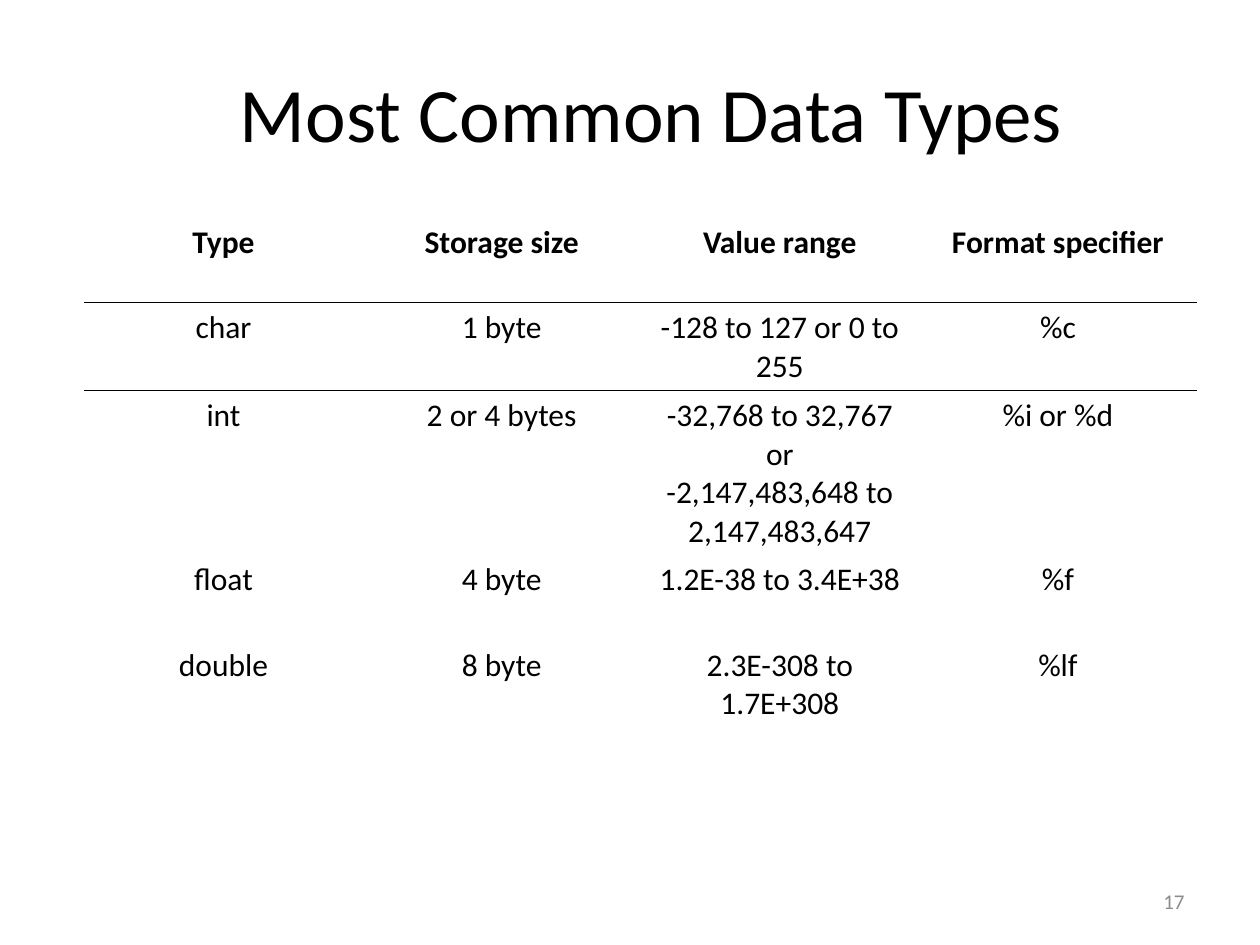
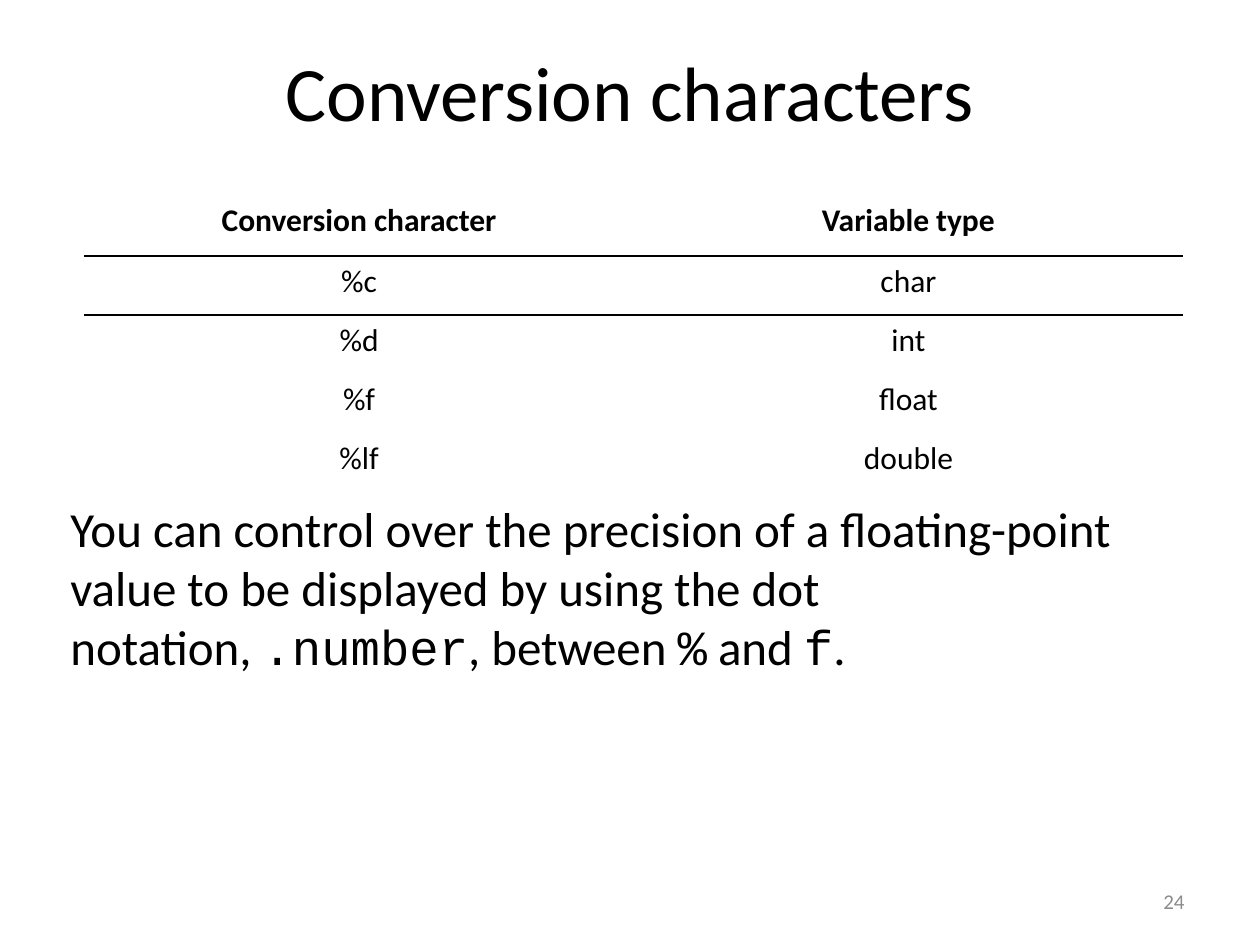
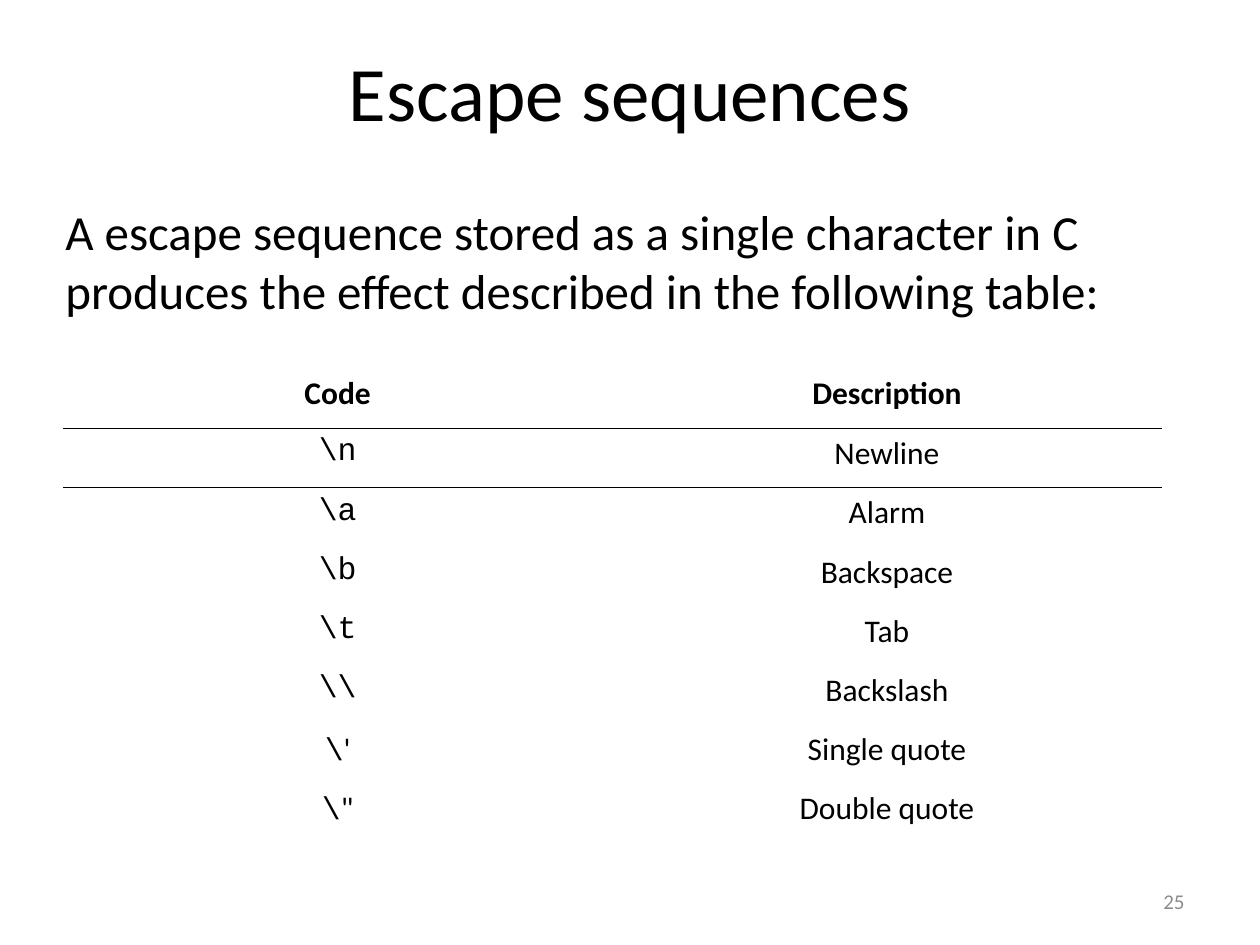
from lxml.etree import SubElement
from pptx import Presentation
from pptx.dml.color import RGBColor
from pptx.enum.text import MSO_ANCHOR, MSO_AUTO_SIZE, PP_ALIGN
from pptx.oxml.ns import qn
from pptx.util import Inches, Pt

BLACK = RGBColor(0x00, 0x00, 0x00)
GREY = RGBColor(0x8C, 0x8C, 0x8C)
BODY_FONT = "Calibri"
CODE_FONT = "Courier New"
PLAIN_TABLE_STYLE = "{2D5ABB26-0587-4C30-8999-92F81FD0307C}"
TITLE_ONLY = 5


def write_text(frame, text, size=18, color=BLACK, bold=False,
               align=PP_ALIGN.LEFT, anchor=MSO_ANCHOR.TOP):
    """Fill a frame: line breaks part paragraphs, backticks enclose code."""
    frame.word_wrap = True
    frame.vertical_anchor = anchor
    for index, line in enumerate(text.split("\n")):
        paragraph = frame.add_paragraph() if index else frame.paragraphs[0]
        paragraph.alignment = align
        for position, piece in enumerate(line.split("`")):
            if not piece:
                continue
            run = paragraph.add_run()
            run.text = piece
            run.font.name = CODE_FONT if position % 2 else BODY_FONT
            run.font.size = Pt(size)
            run.font.bold = bold
            run.font.color.rgb = color


def add_rule(cell, side):
    """Draw a one-point black border on one side of a cell."""
    properties = cell._tc.get_or_add_tcPr()
    border = SubElement(properties, qn(f"a:{side}"), w=str(Pt(1)))
    fill = SubElement(border, qn("a:solidFill"))
    SubElement(fill, qn("a:srgbClr"), val=str(BLACK))
    properties.insert(0, border)


class Deck:
    def __init__(self):
        self.presentation = Presentation()
        self.presentation.slide_width = Inches(10)
        self.presentation.slide_height = Inches(7.5)
        self.slide = None

    def start_slide(self, title, number, left=0.5, top=0.3):
        layout = self.presentation.slide_layouts[TITLE_ONLY]
        self.slide = self.presentation.slides.add_slide(layout)
        heading = self.slide.shapes.title
        heading.left, heading.top = Inches(left), Inches(top)
        heading.width, heading.height = Inches(9), Inches(1.25)
        heading.text_frame.auto_size = MSO_AUTO_SIZE.NONE
        write_text(heading.text_frame, title, size=44, align=PP_ALIGN.CENTER)
        self.text(str(number), 7.17, 6.95, 2.33, 0.4, size=12, color=GREY,
                  align=PP_ALIGN.RIGHT, anchor=MSO_ANCHOR.MIDDLE)

    def text(self, text, left, top, width, height, **style):
        box = self.slide.shapes.add_textbox(
            Inches(left), Inches(top), Inches(width), Inches(height))
        write_text(box.text_frame, text, **style)

    def table(self, rows, left, top, width, header_height, row_height):
        height = header_height + row_height * (len(rows) - 1)
        table = self.slide.shapes.add_table(
            len(rows), len(rows[0]), Inches(left), Inches(top),
            Inches(width), Inches(height)).table
        table._tbl.tblPr.find(qn("a:tableStyleId")).text = PLAIN_TABLE_STYLE
        table.horz_banding = False
        for row_index, row in enumerate(rows):
            is_header = row_index == 0
            table.rows[row_index].height = Inches(
                header_height if is_header else row_height)
            for column_index, text in enumerate(row):
                cell = table.cell(row_index, column_index)
                cell.fill.background()
                write_text(cell.text_frame, text, bold=is_header,
                           align=PP_ALIGN.CENTER)
                if row_index < 2:
                    add_rule(cell, "lnB" if is_header else "lnT")


def main():
    deck = Deck()

    # Data types
    deck.start_slide("Most Common Data Types", 17, left=0.67, top=0.47)
    data_types = [
        ("Type", "Storage size", "Value range", "Format specifier"),
        ("char", "1 byte", "-128 to 127 or 0 to 255", "%c"),
        ("int", "2 or 4 bytes",
         "-32,768 to 32,767 or\n-2,147,483,648 to 2,147,483,647",
         "%i or %d"),
        ("float", "4 byte", "1.2E-38 to 3.4E+38", "%f"),
        ("double", "8 byte", "2.3E-308 to 1.7E+308", "%lf"),
    ]
    deck.table(data_types, 0.67, 1.72, 8.83, 0.68, 0.68)

    # Conversion characters
    deck.start_slide("Conversion characters", 24)
    conversions = [
        ("Conversion character", "Variable type"),
        ("%c", "char"),
        ("%d", "int"),
        ("%f", "float"),
        ("%lf", "double"),
    ]
    deck.table(conversions, 0.67, 1.55, 8.72, 0.48, 0.47)
    deck.text("You can control over the precision of a floating-point value "
              "to be displayed by using the dot notation, `.number`, "
              "between `%` and `f`.", 0.46, 3.91, 9.08, 2.7, size=28)

    # Escape sequences
    deck.start_slide("Escape sequences", 25)
    deck.text("A escape sequence stored as a single character in C produces "
              "the effect described in the following table:",
              0.42, 1.55, 9.08, 1.08, size=28)
    escapes = [
        ("Code", "Description"),
        (r"`\n`", "Newline"),
        (r"`\a`", "Alarm"),
        (r"`\b`", "Backspace"),
        (r"`\t`", "Tab"),
        (r"`\\`", "Backslash"),
        (r"`\`'", "Single quote"),
        (r'`\`"', "Double quote"),
    ]
    deck.table(escapes, 0.5, 2.92, 8.72, 0.48, 0.47)

    deck.presentation.save("out.pptx")


if __name__ == "__main__":
    main()
